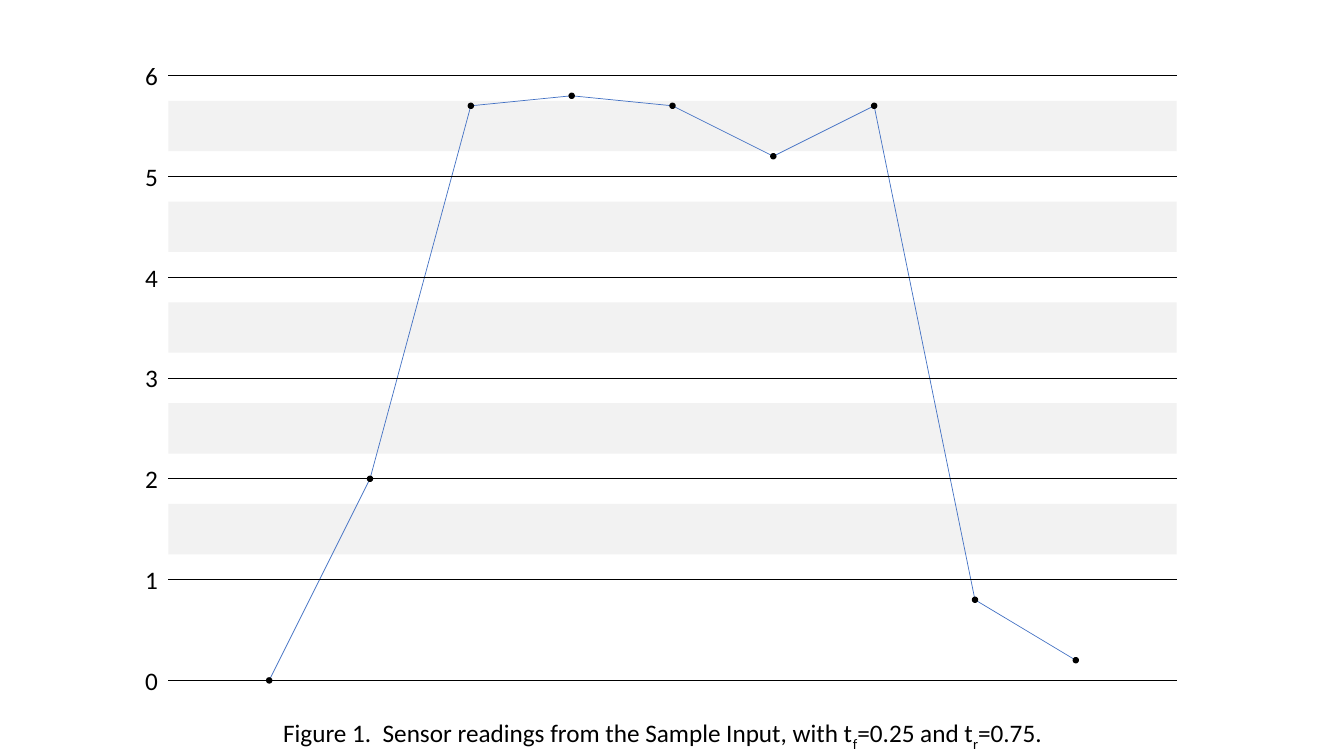
from dataclasses import dataclass
from itertools import pairwise

from lxml.etree import SubElement
from pptx import Presentation
from pptx.dml.color import RGBColor
from pptx.enum.shapes import MSO_CONNECTOR, MSO_SHAPE
from pptx.enum.text import MSO_AUTO_SIZE
from pptx.oxml.ns import qn
from pptx.util import Inches, Pt


@dataclass(frozen=True)
class Theme:
    ink: RGBColor = RGBColor(0, 0, 0)
    band: RGBColor = RGBColor(0xF2, 0xF2, 0xF2)
    curve: RGBColor = RGBColor(0x44, 0x72, 0xC4)
    font: str = "Calibri"
    text_size: float = 18
    line_width: float = 0.5
    dot_outline: float = 1


@dataclass(frozen=True)
class Box:
    left: float
    top: float
    width: float
    height: float

    def lengths(self):
        return [Inches(side) for side in (self.left, self.top, self.width, self.height)]


THEME = Theme()
READINGS = [0, 2, 5.7, 5.8, 5.7, 5.2, 5.7, 0.8, 0.2]
TOP_VALUE = 6
THRESHOLD_FALL, THRESHOLD_RISE = 0.25, 0.75
DOT_SIZE = 0.05
CAPTION = [
    ("Figure 1.  Sensor readings from the Sample Input, with t", False),
    ("f", True),
    ("=0.25 and t", False),
    ("r", True),
    ("=0.75.", False),
]


def add_line(page, start, end, color):
    line = page.shapes.add_connector(
        MSO_CONNECTOR.STRAIGHT, *(Inches(part) for part in (*start, *end)))
    line.line.color.rgb = color
    line.line.width = Pt(THEME.line_width)
    SubElement(line._element.spPr, qn("a:effectLst"))


def add_filled(page, kind, box, color, outline=None):
    shape = page.shapes.add_shape(kind, *box.lengths())
    shape.shadow.inherit = False
    shape.fill.solid()
    shape.fill.fore_color.rgb = color
    if outline is None:
        shape.line.fill.background()
    else:
        shape.line.color.rgb = color
        shape.line.width = Pt(outline)


def add_text(page, box, pieces, size=THEME.text_size, color=THEME.ink):
    """Write one line from (text, is_subscript) pieces."""
    frame = page.shapes.add_textbox(*box.lengths()).text_frame
    frame.word_wrap = False
    frame.auto_size = MSO_AUTO_SIZE.SHAPE_TO_FIT_TEXT
    para = frame.paragraphs[0]
    for text, is_subscript in pieces:
        span = para.add_run()
        span.text = text
        span.font.name = THEME.font
        span.font.size = Pt(size)
        span.font.color.rgb = color
        if is_subscript:
            span._r.get_or_add_rPr().set("baseline", "-25000")


def add_plot(page, box):
    unit = box.height / TOP_VALUE
    step = box.width / (len(READINGS) + 1)
    right = box.left + box.width

    def height_of(value):
        return box.top + box.height - value * unit

    for value in range(1, TOP_VALUE):
        band = Box(box.left, height_of(value + THRESHOLD_RISE), box.width,
                   (THRESHOLD_RISE - THRESHOLD_FALL) * unit)
        add_filled(page, MSO_SHAPE.RECTANGLE, band, THEME.band)

    points = [(box.left + place * step, height_of(reading))
              for place, reading in enumerate(READINGS, 1)]
    for start, end in pairwise(points):
        add_line(page, start, end, THEME.curve)

    for value in range(TOP_VALUE + 1):
        level = height_of(value)
        add_line(page, (box.left, level), (right, level), THEME.ink)
        label = Box(box.left - 0.33, level - 0.2, 0.33, 0.4)
        add_text(page, label, [(str(value), False)])

    for across, down in points:
        dot = Box(across - DOT_SIZE / 2, down - DOT_SIZE / 2, DOT_SIZE, DOT_SIZE)
        add_filled(page, MSO_SHAPE.OVAL, dot, THEME.ink, outline=THEME.dot_outline)


def main():
    deck = Presentation()
    deck.slide_width, deck.slide_height = Inches(13.33), Inches(7.5)
    page = deck.slides.add_slide(deck.slide_layouts[6])
    add_plot(page, Box(1.67, 0.75, 10, 6))
    add_text(page, Box(2.71, 7.07, 7.88, 0.4), CAPTION)
    deck.save("out.pptx")


if __name__ == "__main__":
    main()
